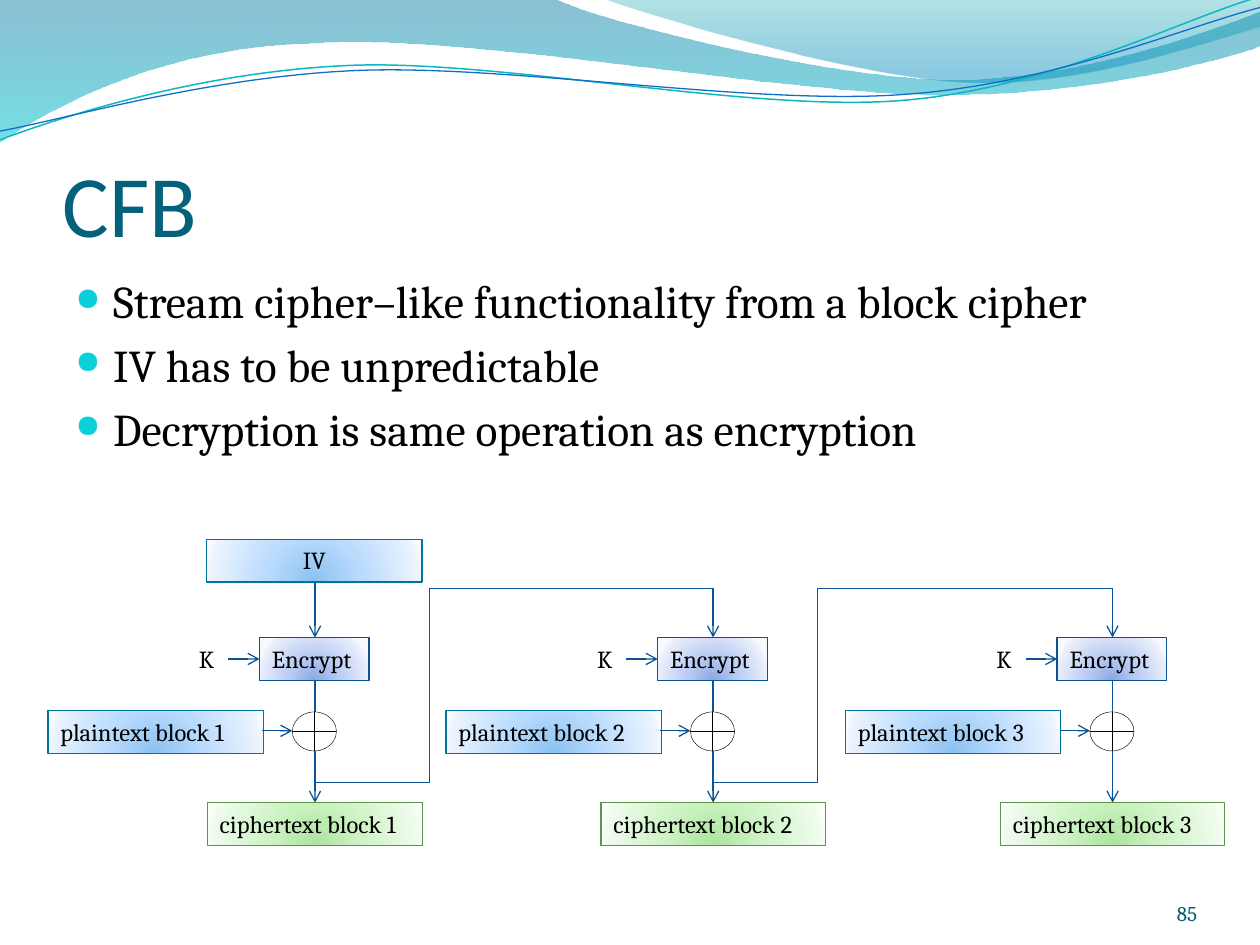
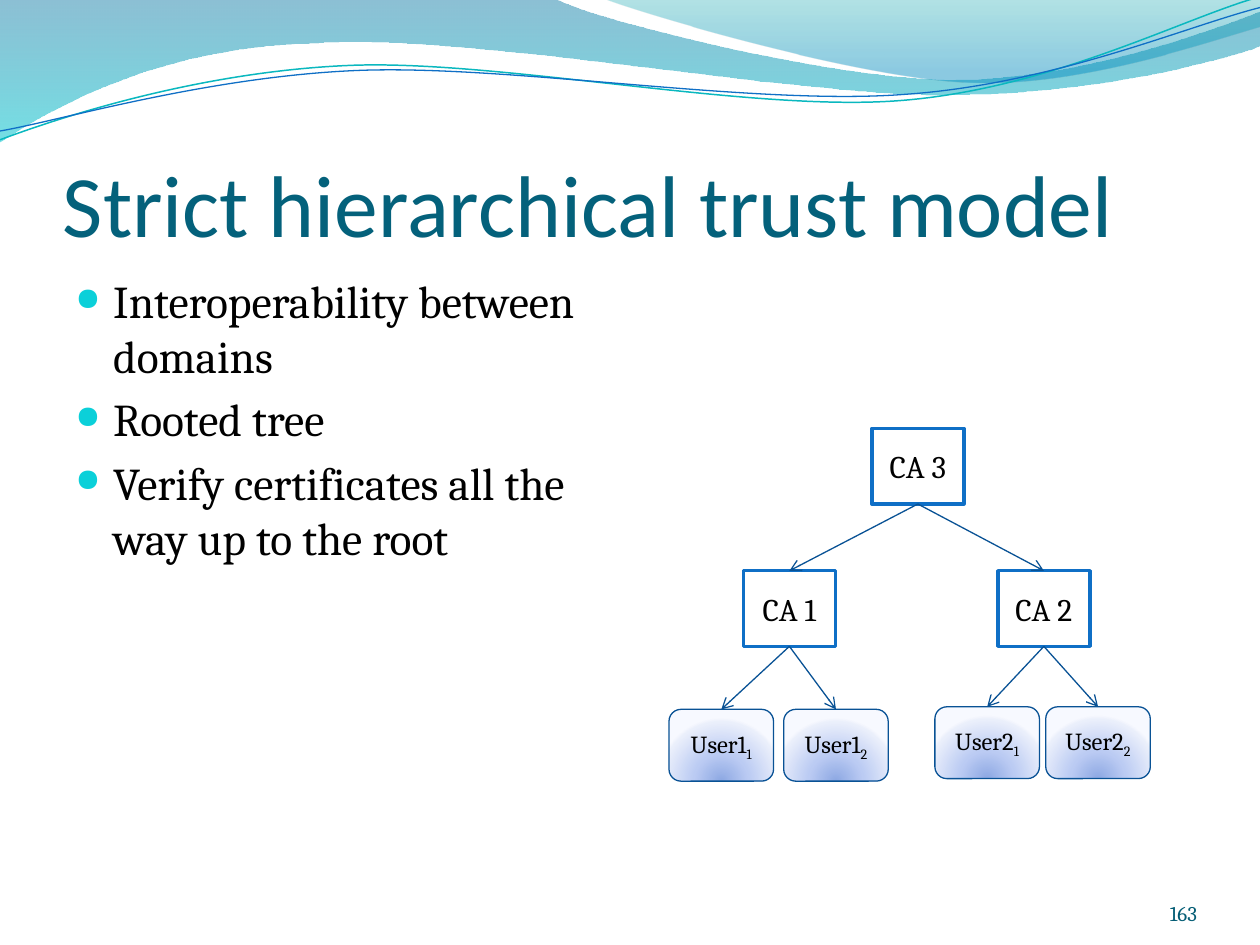
from dataclasses import dataclass
from pptx import Presentation
from pptx.dml.color import RGBColor
from pptx.enum.shapes import MSO_CONNECTOR as CONN, MSO_SHAPE as SHAPE
from pptx.enum.text import MSO_ANCHOR as ANCHOR, PP_ALIGN as ALIGN
from pptx.oxml import parse_xml
from pptx.oxml.ns import nsdecls, qn
from pptx.util import Inches, Pt


@dataclass(frozen=True)
class Theme:
    heading: str = "Calibri"
    body: str = "Cambria"
    title_color: str = "04617B"
    number_color: str = "045D75"
    ink: str = "000000"
    paper: str = "FFFFFF"
    accent: str = "0F6FC6"
    bullet: str = "0BD0D9"
    arrow: str = "095295"
    title_size: float = 50
    body_size: float = 26
    node_size: float = 18
    label_size: float = 14
    number_size: float = 12
    thin: float = 0.75
    blue: tuple = ("0074A1", ("8BC2F1", "B9DBFD", "EAF3FE", "F8FBFF"))
    green: tuple = ("5B9747", ("ACE49F", "CDF3C4", "EFFBED", "F9FFF8"))
    violet: tuple = ("095295", ("8DA8E3", "BBCBF3", "EAEFFB", "F7F9FF"))


T = Theme()
GLOW_STOPS = (0, 43, 93, 100)
DOWNWARD = '<a:lin ang="5400000" scaled="0"/>'
GLOW = '<a:path path="circle"><a:fillToRect l="50000" t="130000" r="50000" b="-30000"/></a:path>'

BANDS = [
    ([(0, 0), (4.4, -0.01), (4.76, 0.17, 6.64, 0.63, 7.58, 0.63),
      (8.53, 0.63, 9.58, 0.26, 10, 0.09), (10.01, 0.36),
      (9.83, 0.44, 8.7, 0.76, 7.46, 0.75), (6.22, 0.75, 3.82, 0.28, 2.57, 0.34),
      (1.29, 0.36, 0.46, 0.83, -0.01, 1.13), (0, 0)],
     [(0, "0074A1", 45), (100, "00C6CF", 55)]),
    ([(4.79, -0.01), (5.09, 0.11, 6.82, 0.62, 7.69, 0.65),
      (8.56, 0.69, 9.61, 0.32, 10, 0.21), (10, 0), (4.79, -0.01)],
     [(0, "00A1A9", 30), (80, "008BBF", 45)]),
]
WAVES = [
    ([(0, 1.11), (0.48, 0.93, 1.58, 0.57, 2.77, 0.52), (3.95, 0.47, 5.93, 0.89, 7.13, 0.8),
      (8.33, 0.71, 9.38, 0.15, 9.98, -0.02)], "0AB8BF", 0.85),
    ([(0, 1.04), (0.47, 0.96, 1.64, 0.61, 2.83, 0.56), (4.03, 0.51, 5.97, 0.84, 7.17, 0.75),
      (8.36, 0.67, 9.41, 0.21, 10, 0.06)], T.accent, T.thin),
]


def rgb(value):
    return RGBColor.from_string(value)


def bend(sp, segments):
    lines = iter(list(sp._element.iter(qn("a:lnTo"))))
    for seg in segments[1:]:
        first = next(lines)
        if len(seg) == 6:
            curve = parse_xml(f'<a:cubicBezTo {nsdecls("a")}/>')
            first.addprevious(curve)
            for line in (first, next(lines), next(lines)):
                curve.append(line[0])
                line.getparent().remove(line)


def set_gradient(sp, stops, direction):
    sp.fill.background()
    gs = "".join(f'<a:gs pos="{pos * 1000}"><a:srgbClr val="{color}">'
                 f'<a:alpha val="{alpha * 1000}"/></a:srgbClr></a:gs>'
                 for pos, color, alpha in stops)
    spPr = sp._element.spPr
    spPr.replace(spPr.find(qn("a:noFill")), parse_xml(
        f'<a:gradFill {nsdecls("a")} rotWithShape="1"><a:gsLst>{gs}</a:gsLst>'
        f'{direction}</a:gradFill>'))


def set_line(sp, color, width):
    sp.line.color.rgb = rgb(color)
    sp.line.width = Pt(width)


def write(p, text, size=T.label_size, color=T.ink, font=T.body, align=None, sub=None):
    p.alignment = align
    for part, baseline in ((text, None), (sub, "-25000")):
        if part:
            r = p.add_run()
            r.text = part
            r.font.size, r.font.name = Pt(size), font
            r.font.color.rgb = rgb(color)
            if baseline:
                r._r.get_or_add_rPr().set("baseline", baseline)


class Deck:
    def __init__(self, prs):
        self.prs = prs
        self.shapes = None

    def slide(self, title, number):
        self.shapes = self.prs.slides.add_slide(self.prs.slide_layouts[6]).shapes
        for segments, stops in BANDS:
            sp = self.outline(segments, True)
            set_gradient(sp, stops, DOWNWARD)
            sp.line.fill.background()
        for segments, color, width in WAVES:
            sp = self.outline(segments, False)
            sp.fill.background()
            set_line(sp, color, width)
        self.text(0.5, 0.77, 9, 1.25, title, size=T.title_size, color=T.title_color,
                  font=T.heading, anchor=ANCHOR.BOTTOM, inset=(0, 0.05, 0, 0))
        self.text(8.67, 6.95, 0.83, 0.4, number, size=T.number_size, color=T.number_color,
                  align=ALIGN.RIGHT, anchor=ANCHOR.BOTTOM, inset=(0, 0, 0, 0))

    def outline(self, segments, close):
        points = [(Inches(x), Inches(y)) for seg in segments
                  for x, y in zip(seg[::2], seg[1::2])]
        builder = self.shapes.build_freeform(*points[0], scale=1.0)
        builder.add_line_segments(points[1:], close=close)
        sp = builder.convert_to_shape()
        bend(sp, segments)
        sp.shadow.inherit = False
        return sp

    def frame(self, sp, anchor=ANCHOR.TOP, wrap=True, inset=(0.1, 0.05, 0.1, 0.05)):
        tf = sp.text_frame
        tf.word_wrap, tf.vertical_anchor = wrap, anchor
        tf.margin_left, tf.margin_top, tf.margin_right, tf.margin_bottom = map(Inches, inset)
        return tf

    def text(self, x, y, w, h, text, anchor=ANCHOR.TOP, wrap=True,
             inset=(0.1, 0.05, 0.1, 0.05), **fmt):
        sp = self.shapes.add_textbox(Inches(x), Inches(y), Inches(w), Inches(h))
        write(self.frame(sp, anchor, wrap, inset).paragraphs[0], text, **fmt)

    def bullets(self, w, h, items):
        tf = self.frame(self.shapes.add_textbox(Inches(0.5), Inches(2.12), Inches(w), Inches(h)))
        for i, item in enumerate(items):
            p = tf.paragraphs[0] if i == 0 else tf.add_paragraph()
            pPr = p._p.get_or_add_pPr()
            pPr.set("marL", str(Inches(0.3)))
            pPr.set("indent", str(-Inches(0.3)))
            for tag in (f'buClr {nsdecls("a")}><a:srgbClr val="{T.bullet}"/></a:buClr',
                        f'buSzPct {nsdecls("a")} val="70000"/',
                        f'buChar {nsdecls("a")} char="●"/'):
                pPr.append(parse_xml(f"<a:{tag}>"))
            if i:
                p.space_before = Pt(5.2)
            write(p, item, size=T.body_size)

    def shape(self, kind, x, y, w, h, line, width):
        sp = self.shapes.add_shape(kind, Inches(x), Inches(y), Inches(w), Inches(h))
        sp.fill.solid()
        sp.fill.fore_color.rgb = rgb(T.paper)
        set_line(sp, line, width)
        sp.shadow.inherit = False
        return sp

    def glow_box(self, x, y, w, h, text, palette, kind=SHAPE.RECTANGLE,
                 anchor=ANCHOR.TOP, wrap=True, align=ALIGN.LEFT, sub=None):
        line, colors = palette
        sp = self.shape(kind, x, y, w, h, line, T.thin)
        set_gradient(sp, [(pos, c, 100) for pos, c in zip(GLOW_STOPS, colors)], GLOW)
        write(self.frame(sp, anchor, wrap).paragraphs[0], text, align=align, sub=sub)
        return sp

    def authority(self, x, y, text):
        sp = self.shape(SHAPE.RECTANGLE, x, y, 0.73, 0.6, T.accent, 2)
        write(self.frame(sp, ANCHOR.MIDDLE).paragraphs[0], text,
              size=T.node_size, align=ALIGN.CENTER)
        return sp

    def user(self, x, y, text, sub):
        return self.glow_box(x, y, 0.83, 0.57, text, T.violet, kind=SHAPE.ROUNDED_RECTANGLE,
                             anchor=ANCHOR.MIDDLE, align=ALIGN.CENTER, sub=sub)

    def arrow(self, x1, y1, x2, y2, kind=CONN.STRAIGHT):
        cx = self.shapes.add_connector(kind, *map(Inches, (x1, y1, x2, y2)))
        set_line(cx, T.arrow, T.thin)
        cx.line._get_or_add_ln().append(parse_xml(f'<a:tailEnd {nsdecls("a")} type="arrow"/>'))
        cx._element.spPr.append(parse_xml(f'<a:effectLst {nsdecls("a")}/>'))
        return cx

    def link(self, parent, child):
        cx = self.arrow(0, 0, 1, 1)
        cx.begin_connect(parent, 2)
        cx.end_connect(child, 0)

    def feedback(self, x1, y1, x2, y2, low, turn, high):
        cx = self.arrow(x1, y1, x2, y2, CONN.ELBOW)
        run, rise = x2 - x1, y1 - y2
        cx.left, cx.top = Inches((x1 + x2 - rise) / 2), Inches((y1 + y2 - run) / 2)
        cx.width, cx.height = Inches(rise), Inches(run)
        spPr = cx._element.spPr
        for key, value in (("rot", "5400000"), ("flipH", "1"), ("flipV", "1")):
            spPr.find(qn("a:xfrm")).set(key, value)
        geom = spPr.find(qn("a:prstGeom"))
        geom.set("prst", "bentConnector5")
        ratios = ((y1 - low) / rise, (turn - x1) / run, (y1 - high) / rise)
        guides = "".join(f'<a:gd name="adj{i}" fmla="val {round(ratio * 100000)}"/>'
                         for i, ratio in enumerate(ratios, 1))
        for old in list(geom):
            geom.remove(old)
        geom.append(parse_xml(f'<a:avLst {nsdecls("a")}>{guides}</a:avLst>'))


def cipher_stage(deck, n, mid):
    row = 0.34
    cipher_w = 1.71 if n == 1 else 1.78
    deck.glow_box(mid - 2.12, 5.64, 1.71, row, f"plaintext block {n}", T.blue)
    deck.glow_box(mid - cipher_w / 2, 6.37, cipher_w, row, f"ciphertext block {n}", T.green)
    deck.glow_box(mid - 0.44, 5.06, 0.87, row, "Encrypt", T.violet, wrap=False)
    deck.text(mid - 1.02, 5.06, 0.33, row, "K", wrap=False)
    deck.arrow(mid - 0.69, 5.23, mid - 0.44, 5.23)
    deck.arrow(mid, 5.4, mid, 6.37)
    deck.shape(SHAPE.FLOWCHART_OR, mid - 0.18, 5.65, 0.35, 0.31, T.ink, 0.25)
    deck.arrow(mid - 0.42, 5.8, mid - 0.18, 5.8)


def cfb_slide(deck):
    deck.slide("CFB", "85")
    deck.bullets(9, 2.06, ["Stream cipher–like functionality from a block cipher",
                           "IV has to be unpredictable",
                           "Decryption is same operation as encryption"])
    mids = (2.5, 5.66, 8.83)
    deck.glow_box(1.64, 4.28, 1.71, 0.34, "IV", T.blue, align=ALIGN.CENTER)
    deck.arrow(mids[0], 4.62, mids[0], 5.06)
    for n, mid in enumerate(mids, 1):
        cipher_stage(deck, n, mid)
    for start, end, turn in zip(mids, mids[1:], (3.41, 6.49)):
        deck.feedback(start, 5.96, end, 5.06, low=6.21, turn=turn, high=4.67)


def trust_slide(deck):
    deck.slide("Strict hierarchical trust model", "163")
    deck.bullets(4.42, 4.8, ["Interoperability between domains", "Rooted tree",
                             "Verify certificates all the way up to the root"])
    root = deck.authority(6.92, 3.4, "CA 3")
    for n, x, users_y, users_x in ((1, 5.9, 5.63, (5.31, 6.22)), (2, 7.92, 5.61, (7.42, 8.3))):
        ca = deck.authority(x, 4.53, f"CA {n}")
        deck.link(root, ca)
        for i, user_x in enumerate(users_x, 1):
            deck.link(ca, deck.user(user_x, users_y, f"User{n}", str(i)))


def main():
    prs = Presentation()
    prs.slide_width, prs.slide_height = Inches(10), Inches(7.5)
    deck = Deck(prs)
    cfb_slide(deck)
    trust_slide(deck)
    prs.save("out.pptx")


if __name__ == "__main__":
    main()
